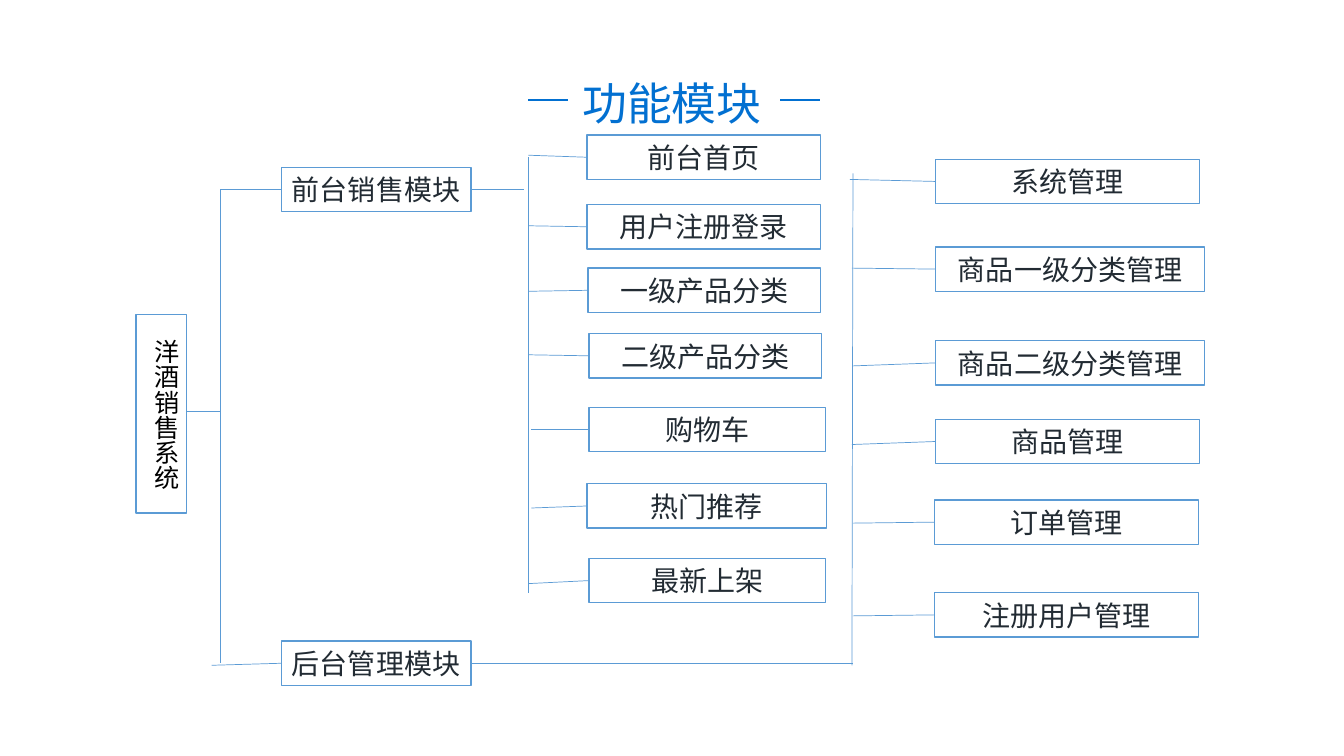
"""Build the function module tree slide of a liquor sales system."""
from dataclasses import dataclass
from typing import Union

from lxml import etree
from pptx import Presentation
from pptx.dml.color import RGBColor
from pptx.enum.shapes import MSO_CONNECTOR, MSO_SHAPE
from pptx.enum.text import MSO_ANCHOR, PP_ALIGN
from pptx.oxml.ns import qn
from pptx.shapes.autoshape import Shape
from pptx.slide import Slide
from pptx.text.text import TextFrame
from pptx.util import Inches, Pt

RECTANGLE = MSO_SHAPE.RECTANGLE
STRAIGHT = MSO_CONNECTOR.STRAIGHT
MIDDLE = MSO_ANCHOR.MIDDLE
CENTER = PP_ALIGN.CENTER
LEFT = PP_ALIGN.LEFT
LEFT_SIDE, RIGHT_SIDE = 1, 3
COLORS = {"paper": "FFFFFF", "line": "5B9BD5", "title": "0270D1", "label": "222B33", "root": "000000"}
CJK_FONT = "Noto Sans CJK SC"
BOX_HEIGHT = 0.44
TRUNK_X = 2.19
ROOT_Y = 4.08


@dataclass(frozen=True)
class Point:
    x: float
    y: float


@dataclass(frozen=True)
class Dock:
    box: Shape
    side: int


@dataclass(frozen=True)
class Module:
    text: str
    left: float
    top: float
    width: float


@dataclass(frozen=True)
class Branch:
    module: Module
    start: Point


End = Union[Point, Dock]

FRONT = Module("前台销售模块", 2.79, 1.66, 1.88)
BACK = Module("后台管理模块", 2.79, 6.36, 1.88)
BRANCHES = [
    Branch(Module("前台首页", 5.82, 1.34, 2.32), Point(5.24, 1.54)),
    Branch(Module("用户注册登录", 5.82, 2.03, 2.32), Point(5.24, 2.24)),
    Branch(Module("一级产品分类", 5.83, 2.66, 2.31), Point(5.24, 2.89)),
    Branch(Module("二级产品分类", 5.84, 3.31, 2.31), Point(5.24, 3.52)),
    Branch(Module("购物车", 5.84, 4.04, 2.35), Point(5.27, 4.26)),
    Branch(Module("热门推荐", 5.82, 4.8, 2.38), Point(5.27, 5.04)),
    Branch(Module("最新上架", 5.84, 5.54, 2.35), Point(5.24, 5.79)),
    Branch(Module("系统管理", 9.28, 1.58, 2.62), Point(8.43, 1.78)),
    Branch(Module("商品一级分类管理", 9.28, 2.45, 2.67), Point(8.45, 2.66)),
    Branch(Module("商品二级分类管理", 9.28, 3.38, 2.67), Point(8.46, 3.63)),
    Branch(Module("商品管理", 9.28, 4.16, 2.62), Point(8.45, 4.41)),
    Branch(Module("订单管理", 9.27, 4.96, 2.62), Point(8.46, 5.19)),
    Branch(Module("注册用户管理", 9.27, 5.88, 2.62), Point(8.46, 6.11)),
]


def rgb(name: str) -> RGBColor:
    return RGBColor.from_string(COLORS[name])


def write_text(frame: TextFrame, text: str, size: float, font: str, color: str, align: PP_ALIGN) -> None:
    frame.text = text
    para = frame.paragraphs[0]
    para.alignment = align
    span = para.runs[0]
    span.font.size = Pt(size)
    span.font.name = font
    span.font.color.rgb = rgb(color)
    east_asian = etree.SubElement(span.font._element, qn("a:ea"))
    east_asian.set("typeface", CJK_FONT)


def draw_box(page: Slide, left: float, top: float, width: float, height: float) -> Shape:
    box = page.shapes.add_shape(RECTANGLE, Inches(left), Inches(top), Inches(width), Inches(height))
    box.shadow.inherit = False
    box.fill.solid()
    box.fill.fore_color.rgb = rgb("paper")
    box.line.color.rgb = rgb("line")
    box.line.width = Pt(1)
    return box


def draw_module(page: Slide, module: Module) -> Shape:
    box = draw_box(page, module.left, module.top, module.width, BOX_HEIGHT)
    frame = box.text_frame
    frame.word_wrap = module is not FRONT
    frame.vertical_anchor = MIDDLE
    write_text(frame, module.text, 20, CJK_FONT, "label", CENTER)
    return box


def draw_line(page: Slide, begin: End, end: End, color: str = "line", width: float = 0.5) -> None:
    first = begin if isinstance(begin, Point) else Point(0, 0)
    last = end if isinstance(end, Point) else Point(0, 0)
    line = page.shapes.add_connector(STRAIGHT, Inches(first.x), Inches(first.y), Inches(last.x), Inches(last.y))
    if isinstance(begin, Dock):
        line.begin_connect(begin.box, begin.side)
    if isinstance(end, Dock):
        line.end_connect(end.box, end.side)
    line.line.color.rgb = rgb(color)
    line.line.width = Pt(width)
    etree.SubElement(line.element.spPr, qn("a:effectLst"))


def draw_title(page: Slide) -> None:
    box = page.shapes.add_textbox(Inches(5.49), Inches(0.6), Inches(2.35), Inches(0.69))
    box.text_frame.word_wrap = True
    write_text(box.text_frame, "功能模块", 32, CJK_FONT, "title", CENTER)
    box.text_frame.paragraphs[0].line_spacing = 1.2
    for left in (5.24, 7.74):
        draw_line(page, Point(left, 0.99), Point(left + 0.39, 0.99), "title", 1.5)


def draw_root(page: Slide) -> Shape:
    draw_box(page, 1.35, 3.12, 0.5, 1.97)
    box = page.shapes.add_textbox(Inches(1.35), Inches(3.27), Inches(0.5), Inches(1.62))
    box.text_frame.word_wrap = False
    box.element.txBody.bodyPr.set("vert", "eaVert")
    write_text(box.text_frame, "洋酒销售系统", 18, "Calibri", "root", LEFT)
    return box


def main() -> None:
    deck = Presentation()
    deck.slide_width = Inches(13.33)
    deck.slide_height = Inches(7.5)
    page = deck.slides.add_slide(deck.slide_layouts[6])

    draw_title(page)
    root = draw_root(page)
    front = draw_module(page, FRONT)
    back = draw_module(page, BACK)

    fork = Point(TRUNK_X, ROOT_Y)
    trunk_top = Point(TRUNK_X, 1.88)
    draw_line(page, Dock(root, RIGHT_SIDE), fork)
    draw_line(page, fork, trunk_top)
    draw_line(page, trunk_top, Dock(front, LEFT_SIDE))
    draw_line(page, fork, Point(TRUNK_X, 6.58))
    draw_line(page, Point(2.1, 6.6), Dock(back, LEFT_SIDE))

    draw_line(page, Dock(front, RIGHT_SIDE), Point(5.2, 1.88))
    draw_line(page, Point(5.24, 1.56), Point(5.24, 5.88))
    draw_line(page, Dock(back, RIGHT_SIDE), Point(8.46, 6.58))
    draw_line(page, Point(8.45, 6.6), Point(8.46, 1.72))

    for branch in BRANCHES:
        box = draw_module(page, branch.module)
        draw_line(page, branch.start, Dock(box, LEFT_SIDE))

    deck.save("out.pptx")


if __name__ == "__main__":
    main()
